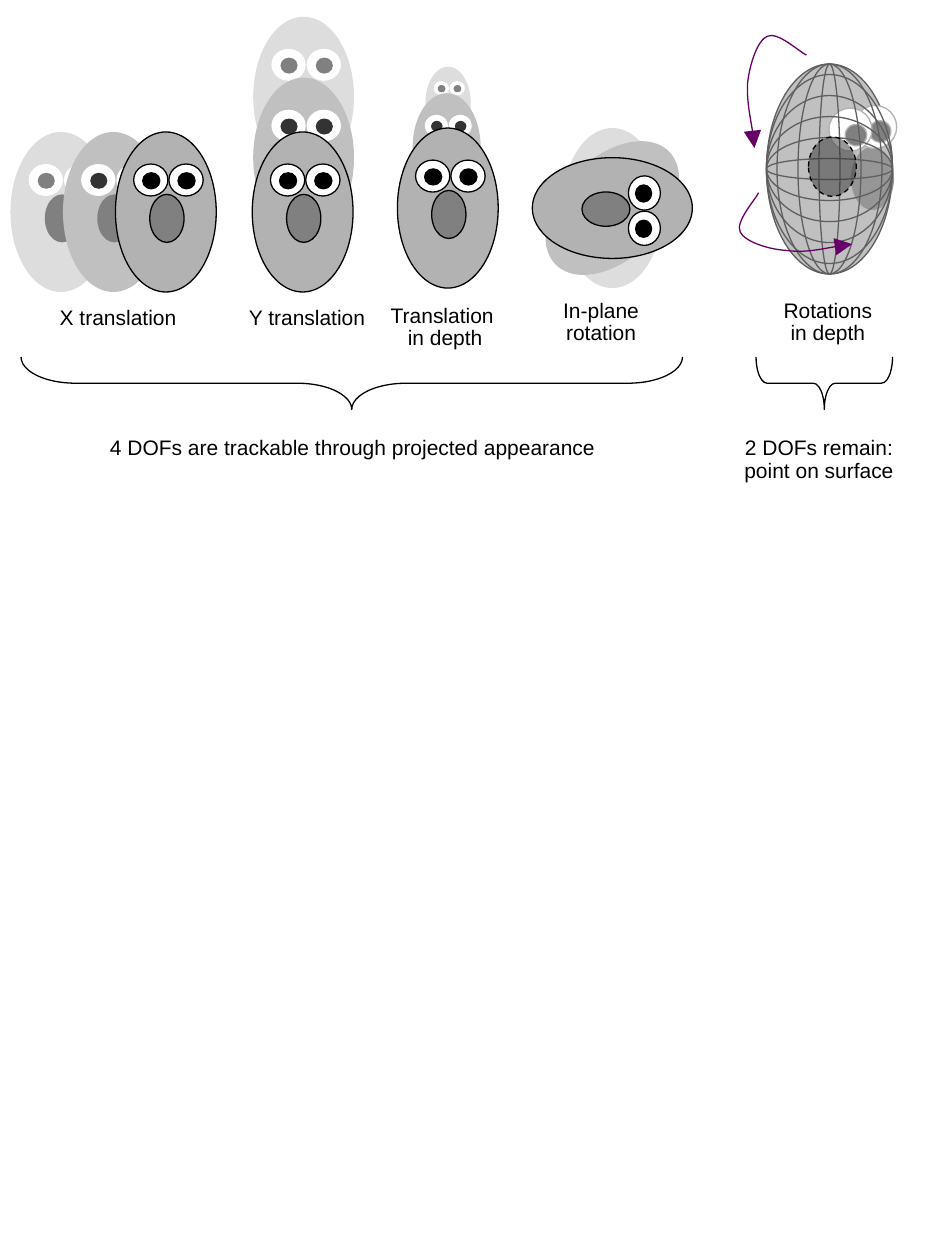
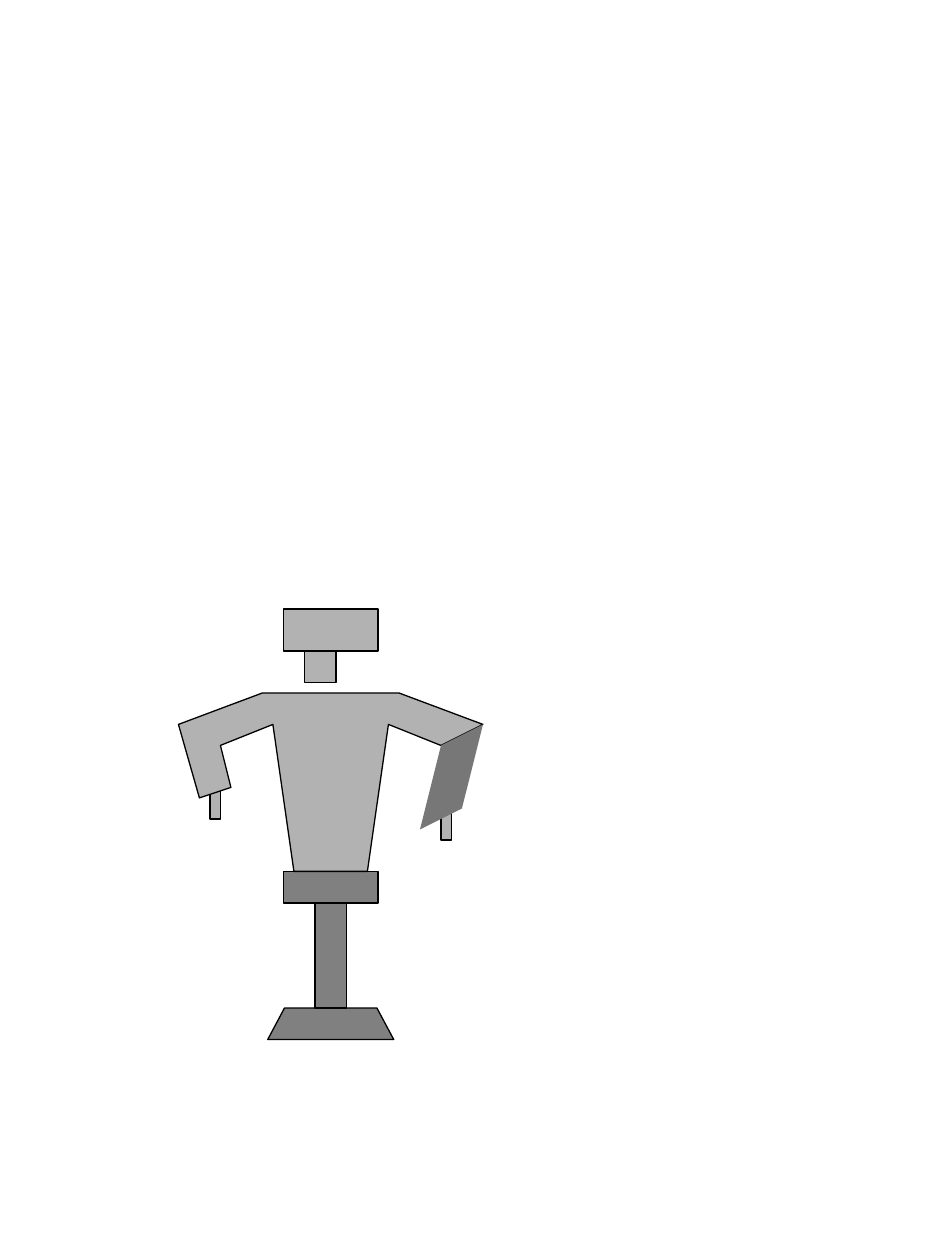
from lxml import etree
from pptx import Presentation
from pptx.dml.color import RGBColor
from pptx.enum.dml import MSO_LINE
from pptx.enum.shapes import MSO_SHAPE
from pptx.enum.text import MSO_AUTO_SIZE, PP_ALIGN
from pptx.oxml.ns import qn
from pptx.util import Inches, Pt

OVAL, RECT, BRACE = MSO_SHAPE.OVAL, MSO_SHAPE.RECTANGLE, MSO_SHAPE.RIGHT_BRACE
CENTER, FIT, DASH = PP_ALIGN.CENTER, MSO_AUTO_SIZE.SHAPE_TO_FIT_TEXT, MSO_LINE.DASH
FONT = "Arial"
COLORS = {
    "black": "000000", "white": "FFFFFF", "pale": "DDDDDD", "silver": "C0C0C0",
    "skin": "B2B2B2", "shade": "969696", "gray": "808080", "slate": "777777",
    "mesh": "5F5F5F", "dark": "333333", "arrow": "660066",
}

# Both slides share a grid of 90 columns by 120 rows
COLS, ROWS = 90, 120
CELL = Inches(7.5) / COLS

# Face styles: skin, pupil, outline
FAR = ("pale", "gray", None)
MID = ("silver", "dark", None)
NEAR = ("skin", "black", "black")
FACE_W, FACE_H = 9.6, 15.24


def cells(*values):
    return [round(v * CELL) for v in values]


def paint(sp, fill=None, line=None):
    sp.shadow.inherit = False
    if fill:
        sp.fill.solid()
        sp.fill.fore_color.rgb = RGBColor.from_string(COLORS[fill])
    else:
        sp.fill.background()
    if line:
        sp.line.color.rgb = RGBColor.from_string(COLORS[line])
        sp.line.width = Pt(0.75)
    else:
        sp.line.fill.background()
    return sp


def add_shape(shapes, kind, x, y, w, h, fill=None, line=None):
    return paint(shapes.add_shape(kind, *cells(x, y, w, h)), fill, line)


def add_outline(shapes, left, top, points, fill=None, line=None, close=True):
    pts = [tuple(cells(left + x, top + y)) for x, y in points]
    fb = shapes.build_freeform(*pts[0])
    fb.add_line_segments(pts[1:], close=close)
    return paint(fb.convert_to_shape(), fill, line)


def add_curved_arrow(shapes, left, top, points):
    """Start point, then three Bezier points for each curve."""
    sp = add_outline(shapes, left, top, points, line="arrow", close=False)
    steps = list(sp._element.iter(qn("a:lnTo")))
    for i in range(0, len(steps), 3):
        curve = etree.Element(qn("a:cubicBezTo"))
        steps[i].addprevious(curve)
        for step in steps[i:i + 3]:
            curve.append(step[0])
            step.getparent().remove(step)
    ln = sp.line._get_or_add_ln()
    etree.SubElement(ln, qn("a:tailEnd"), type="triangle", w="lg", len="lg")


def add_caption(s, center, top, width, lines):
    box = s.shapes.add_textbox(
        *cells(center - width / 2, top, width, 1.2 + 2.16 * len(lines)))
    tf = box.text_frame
    tf.word_wrap = False
    tf.auto_size = FIT
    for i, line in enumerate(lines):
        p = tf.add_paragraph() if i else tf.paragraphs[0]
        p.alignment = CENTER
        p.line_spacing = 0.9
        r = p.add_run()
        r.text = line
        r.font.name, r.font.size = FONT, Pt(12)
        r.font.color.rgb = RGBColor.from_string(COLORS["black"])


def add_face(s, style, x, y, w=FACE_W, h=FACE_H, rotation=0):
    skin, pupil, line = style
    grp = s.shapes.add_group_shape()
    # Parts as shares of the face box
    parts = [(0, 0, 1, 1, skin)]
    for eye in (0.53, 0.18):
        parts += [(eye, 0.2, 0.34, 0.2, "white"),
                  (eye + 0.09, 0.255, 0.17, 0.1, pupil)]
    parts.append((0.34, 0.39, 0.34, 0.3, "gray"))
    for px, py, pw, ph, fill in parts:
        add_shape(grp.shapes, OVAL, x + px * w, y + py * h, pw * w, ph * h, fill, line)
    grp.rotation = rotation


def add_globe_head(s, x, y, w, h):
    add_shape(s.shapes, OVAL, x, y, w, h, "silver", "mesh")
    # Turned face behind the mesh
    add_shape(s.shapes, OVAL, x + 8.05, y + 7.9, 4.1, 6, "shade")
    for ex, ey, px, py in ((8.3, 3.95, 9.8, 5.4), (5.95, 4.2, 7.5, 5.75)):
        add_shape(s.shapes, OVAL, x + ex, y + ey, 4.1, 4.1, "white", "skin")
        add_shape(s.shapes, OVAL, x + px, y + py, 2.05, 2.05, "gray", "skin")
    # Meridians narrow, parallels flatten
    mesh = s.shapes.add_group_shape().shapes
    rings = [(mw, h) for mw in (10, 6, 2)] + [(w, ph) for ph in (18, 14, 10, 6, 2)]
    for rw, rh in rings:
        add_shape(mesh, OVAL, x + (w - rw) / 2, y + (h - rh) / 2, rw, rh, line="mesh")
    # Half-transparent nose
    nose = add_shape(s.shapes, OVAL, x + 4, y + 6.95, 4.55, 5.65, "dark", "black")
    nose.line.dash_style = DASH
    color = nose._element.spPr.find(qn("a:solidFill"))[0]
    etree.SubElement(color, qn("a:alpha"), val="50000")
    # Rotation arrows
    add_curved_arrow(s.shapes, x, y, [
        (-0.75, 12.25), (-1, 12.85), (-3, 15), (-2.5, 16), (-2.05, 16.9),
        (0.1, 17.65), (1.9, 17.75), (3.7, 18), (6.85, 17.3), (8.15, 17.15)])
    add_curved_arrow(s.shapes, x, y, [
        (3.8, -0.85), (3.2, -1.1), (1.1, -3.1), (0.1, -2.65), (-0.85, -2.3),
        (-1.6, 0), (-1.8, 1.8), (-1.9, 3.6), (-1.2, 6.7), (-1.15, 8)])


def add_down_brace(s, x, y, w, h, curve):
    # The brace is drawn upright, then turned about its centre
    sp = add_shape(s.shapes, BRACE, x + (w - h) / 2, y + (h - w) / 2, h, w, line="black")
    sp.adjustments[0] = curve
    sp.rotation = 90


def motion_slide(prs):
    s = prs.slides.add_slide(prs.slide_layouts[6])
    # Translation in depth, then along Y
    add_face(s, FAR, 40.52, 6.36, 4.32, 6.84)
    add_face(s, MID, 39.3, 8.88, 6.48, 10.32)
    add_face(s, NEAR, 37.85, 12.2)
    for style, x, y in ((FAR, 24.12, 1.6), (MID, 24.12, 7.4), (NEAR, 24.03, 12.57)):
        add_face(s, style, x, y)
    # Translation along X
    for i, style in enumerate((FAR, MID, NEAR)):
        add_face(s, style, 1 + 5 * i, 12.57)
    # In-plane rotation
    for i, style in enumerate((FAR, MID, NEAR)):
        add_face(s, style, 53.52, 12.2, rotation=45 * i)
    add_globe_head(s, 73, 6.1, 12, 20)
    # Braces and captions
    add_down_brace(s, 2, 34, 63, 5, 1.04)
    add_down_brace(s, 72, 34, 13, 5, 0.21)
    for caption in (
        (11.25, 28.7, 14.4, ["X translation"]),
        (29.25, 28.7, 14.4, ["Y translation"]),
        (42.4, 28.45, 13.2, ["Translation ", "in depth"]),
        (57.25, 28, 10.4, ["In-plane", "rotation"]),
        (78.85, 28, 12, ["Rotations", "in depth"]),
        (33.6, 41.05, 50, ["4 DOFs are trackable through projected appearance"]),
        (78, 41.05, 17.4, ["2 DOFs remain:", "point on surface"]),
    ):
        add_caption(s, *caption)


def add_robot(s, left, top):
    def block(x, y, w, h, fill="skin", line="black"):
        add_shape(s.shapes, RECT, left + x, top + y, w, h, fill, line)

    # Base, post and hip
    add_outline(s.shapes, left, top,
                [(20.5, 41), (8.5, 41), (10.1, 38), (18.9, 38)], "gray", "black")
    block(13, 28, 3, 10, "gray")
    block(10, 25, 9, 3, "gray")
    # Hands
    block(25, 19, 1, 3)
    block(3, 17, 1, 3)
    # Torso with arms
    add_outline(s.shapes, left, top, [
        (21, 8), (29, 11), (25, 13), (20, 11), (18, 25), (11, 25),
        (9, 11), (4, 13), (5, 17), (2, 18), (0, 11), (8, 8)], "skin", "black")
    # Neck, head and eyes
    block(12, 3, 3, 4)
    block(10, 0, 9, 4)
    for x in (11, 15):
        block(x, 1, 2.6, 1, line=None)
    # Shaded forearm
    add_outline(s.shapes, left, top, [(25, 13), (29, 11), (27, 19), (23, 21)], "slate")


def robot_slide(prs):
    s = prs.slides.add_slide(prs.slide_layouts[6])
    add_robot(s, 17, 58)


def main():
    prs = Presentation()
    prs.slide_width, prs.slide_height = cells(COLS, ROWS)
    motion_slide(prs)
    robot_slide(prs)
    prs.save("out.pptx")


if __name__ == "__main__":
    main()
